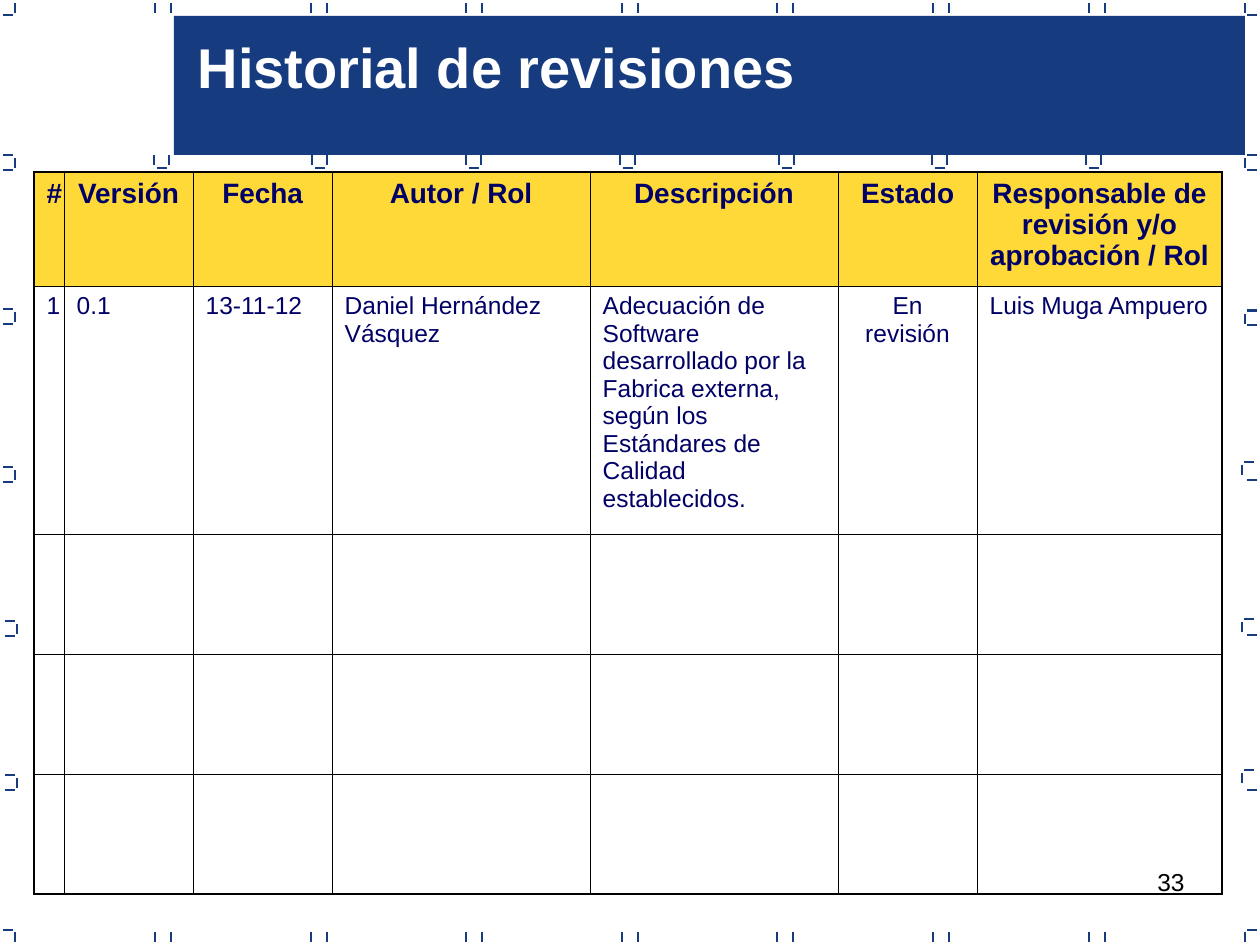
from lxml.etree import SubElement
from pptx import Presentation
from pptx.dml.color import RGBColor
from pptx.enum.shapes import MSO_CONNECTOR, MSO_SHAPE
from pptx.enum.text import MSO_ANCHOR, MSO_AUTO_SIZE, PP_ALIGN
from pptx.oxml.ns import qn
from pptx.util import Emu, Pt

BLUE = RGBColor(0x16, 0x3B, 0x7F)
NAVY = RGBColor(0x00, 0x00, 0x66)
YELLOW = RGBColor(0xFF, 0xD9, 0x37)
WHITE = RGBColor(0xFF, 0xFF, 0xFF)
BLACK = RGBColor(0x00, 0x00, 0x00)

FONT = "Arial"
SCALE = 914400 / 126  # EMU per px
OUTER, INNER = Pt(1.08), Pt(0.45)  # table borders

COLUMNS = [30, 129, 139, 258, 248, 139, 245]
ROWS = [114, 248, 120, 120, 120]
CENTERED = (0, 5)  # body columns with centred text
HEADERS = ["#", "Versión", "Fecha", "Autor / Rol", "Descripción", "Estado",
           "Responsable de revisión y/o aprobación / Rol"]
REVISION = ["1", "0.1", "13-11-12", "Daniel Hernández Vásquez",
            "Adecuación de Software desarrollado por la Fabrica externa, "
            "según los Estándares de Calidad establecidos.",
            "En revisión", "Luis Muga Ampuero"]


def px(n):
    return Emu(round(n * SCALE))


class Deck:
    def __init__(self, width, height):
        self.prs = Presentation()
        self.prs.slide_width, self.prs.slide_height = px(width), px(height)
        self.s = self.prs.slides.add_slide(self.prs.slide_layouts[5])

    def font(self, p, size, color, bold=False, align=PP_ALIGN.LEFT):
        p.alignment = align
        p.font.name, p.font.size = FONT, Pt(size)
        p.font.bold, p.font.color.rgb = bold, color

    def rect(self, x, y, w, h, color):
        sp = self.s.shapes.add_shape(MSO_SHAPE.RECTANGLE, px(x), px(y), px(w), px(h))
        sp.shadow.inherit = False
        sp.fill.solid()
        sp.fill.fore_color.rgb = color
        sp.line.fill.background()

    def line(self, x1, y1, x2, y2):
        c = self.s.shapes.add_connector(
            MSO_CONNECTOR.STRAIGHT, px(x1), px(y1), px(x2), px(y2))
        c.line.color.rgb, c.line.width = BLUE, Pt(0.75)
        SubElement(c._element.spPr, qn("a:effectLst"))

    def vtick(self, x, y):
        self.line(x, y + 10, x, y)

    def htick(self, x, y):
        self.line(x, y, x + 10, y)

    def title(self, text, x, y, w, h):
        sp = self.s.shapes.title
        sp._element.getparent().append(sp._element)  # in front of the banner
        sp.left, sp.top, sp.width, sp.height = px(x), px(y), px(w), px(h)
        tf = sp.text_frame
        tf.text = text
        tf.word_wrap, tf.auto_size = False, MSO_AUTO_SIZE.SHAPE_TO_FIT_TEXT
        tf.vertical_anchor = MSO_ANCHOR.TOP
        self.font(tf.paragraphs[0], 32, WHITE, bold=True)

    def text(self, text, x, y, w, h, size, color, align):
        tf = self.s.shapes.add_textbox(px(x), px(y), px(w), px(h)).text_frame
        tf.word_wrap = True
        tf.text = text
        self.font(tf.paragraphs[0], size, color, align=align)

    def borders(self, cell, widths):
        tcPr = cell._tc.get_or_add_tcPr()
        for side, width in widths.items():
            ln = SubElement(tcPr, qn(f"a:ln{side}"), w=str(width))
            fill = SubElement(ln, qn("a:solidFill"))
            SubElement(fill, qn("a:srgbClr"), val=str(BLACK))

    def table(self, x, y, columns, rows, content):
        table = self.s.shapes.add_table(
            len(rows), len(columns), px(x), px(y), px(sum(columns)), px(sum(rows))).table
        table.horz_banding = False
        for column, w in zip(table.columns, columns):
            column.width = px(w)
        for i, h in enumerate(rows):
            table.rows[i].height = px(h)
            for j in range(len(columns)):
                cell = table.cell(i, j)
                self.borders(cell, {
                    "L": OUTER if j == 0 else INNER,
                    "R": OUTER if j == len(columns) - 1 else INNER,
                    "T": OUTER if i == 0 else INNER,
                    "B": OUTER if i == len(rows) - 1 else INNER})
                header = i == 0
                if header:
                    cell.fill.solid()
                    cell.fill.fore_color.rgb = YELLOW
                else:
                    cell.fill.background()
                if i < len(content):
                    cell.text = content[i][j]
                centered = header or j in CENTERED
                self.font(cell.text_frame.paragraphs[0], 16 if header else 14, NAVY,
                          header, PP_ALIGN.CENTER if centered else PP_ALIGN.LEFT)


def main():
    deck = Deck(1260, 945)

    # Banner
    deck.rect(174, 16, 1071, 139, BLUE)

    # Tick pairs along the top and bottom edges
    for i in range(7):
        x = 155 + round(155.6 * i)
        for y in (3, 932):
            deck.vtick(x, y)
            deck.vtick(x + 16, y)

    # Cups below the banner
    for x in (154, 312, 466, 620, 779, 932, 1086):
        deck.vtick(x, 155)
        deck.vtick(x + 15, 155)
        deck.htick(x + 3, 168)

    # Corner marks
    for x_v, x_h in ((15, 3), (1245, 1247)):
        for y_v, y_h in ((3, 15), (932, 930)):
            deck.vtick(x_v, y_v)
            deck.htick(x_h, y_h)

    # Brackets on the left edge
    for x, y in ((3, 155), (3, 309), (3, 467), (5, 621), (5, 775)):
        deck.htick(x, y)
        deck.vtick(x + 12, y + 3)
        deck.htick(x, y + 15)

    # Brackets on the right edge, with evenly spaced bases
    for i, (x, y) in enumerate(
            ((1245, 155), (1245, 311), (1242, 462), (1242, 619), (1242, 770))):
        deck.htick(x + 2, y)
        deck.vtick(x, y + 3)
        deck.htick(1247, 170 + 155 * i)
    deck.htick(1247, 310)

    # Title, page number and revision table
    deck.title("Historial de revisiones", 185, 26, 624, 81)
    deck.text("33", 903, 861, 294, 66, 14, BLACK, PP_ALIGN.RIGHT)
    deck.table(34, 172, COLUMNS, ROWS, [HEADERS, REVISION])

    deck.prs.save("out.pptx")


if __name__ == "__main__":
    main()
